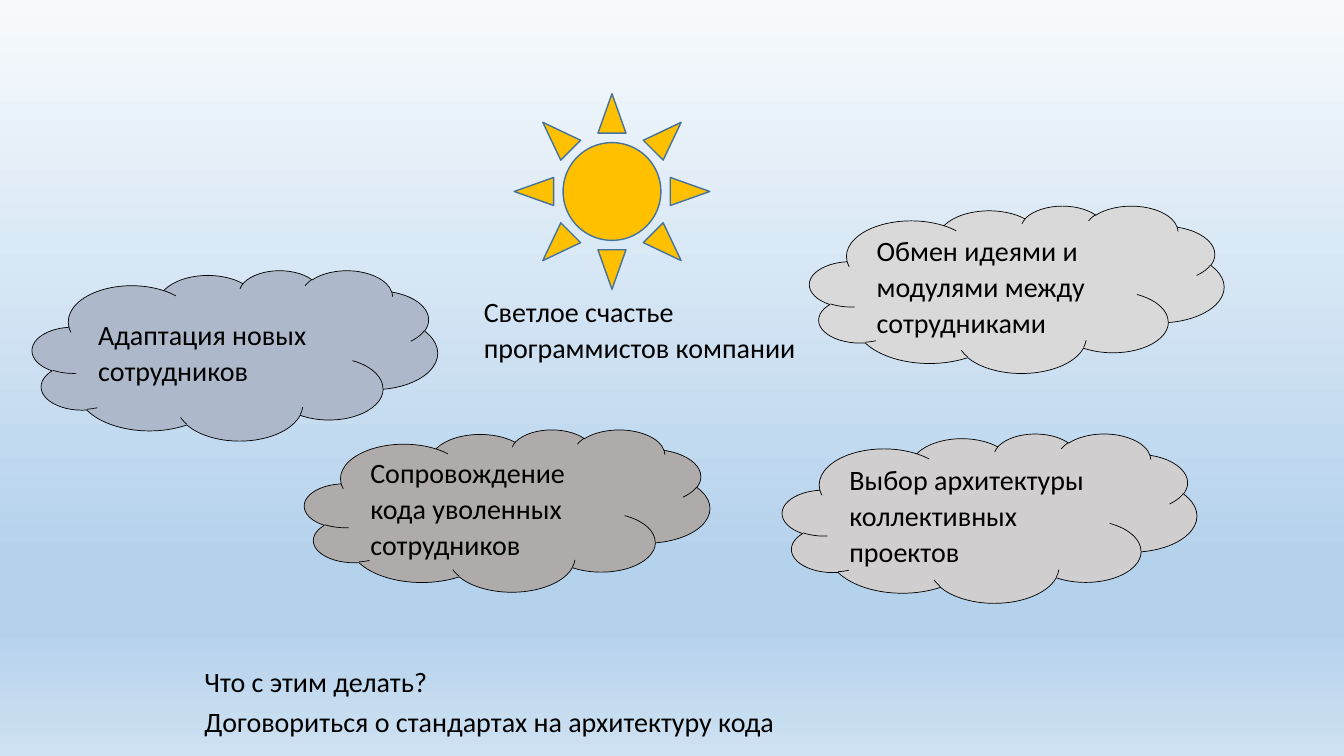
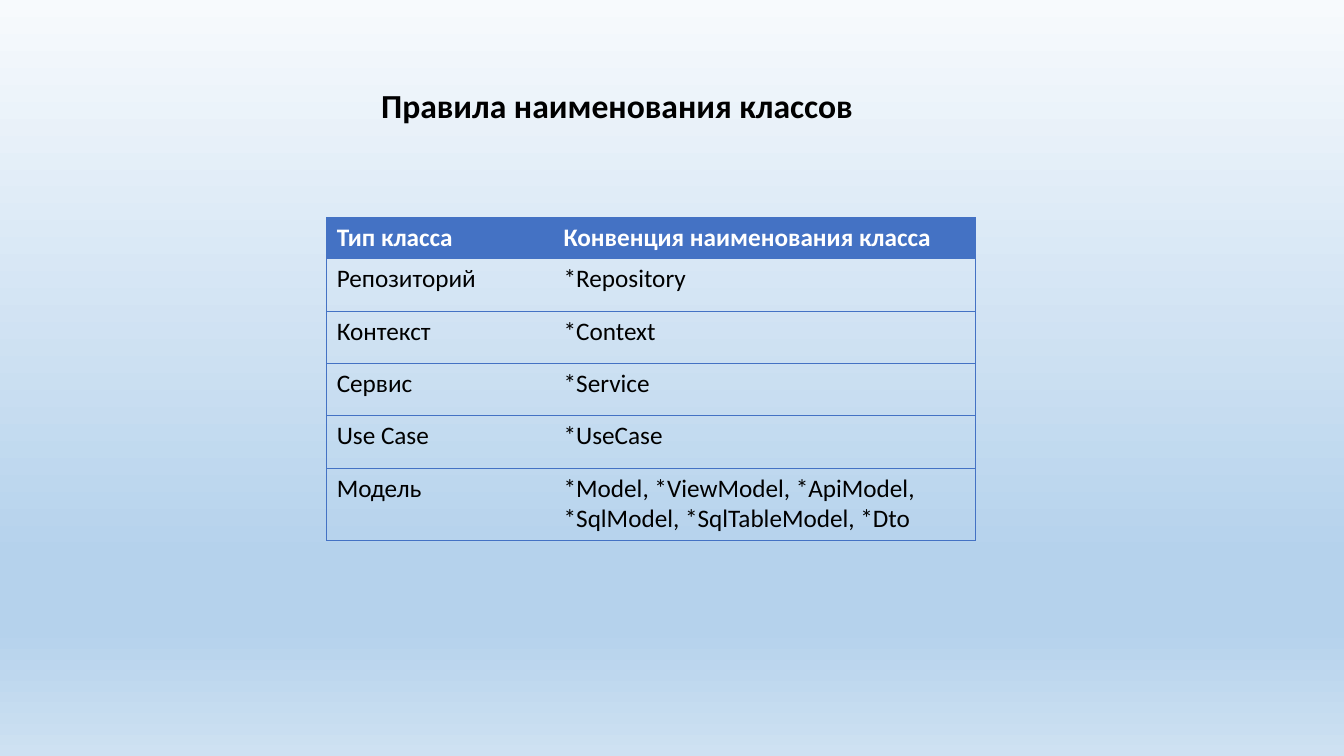
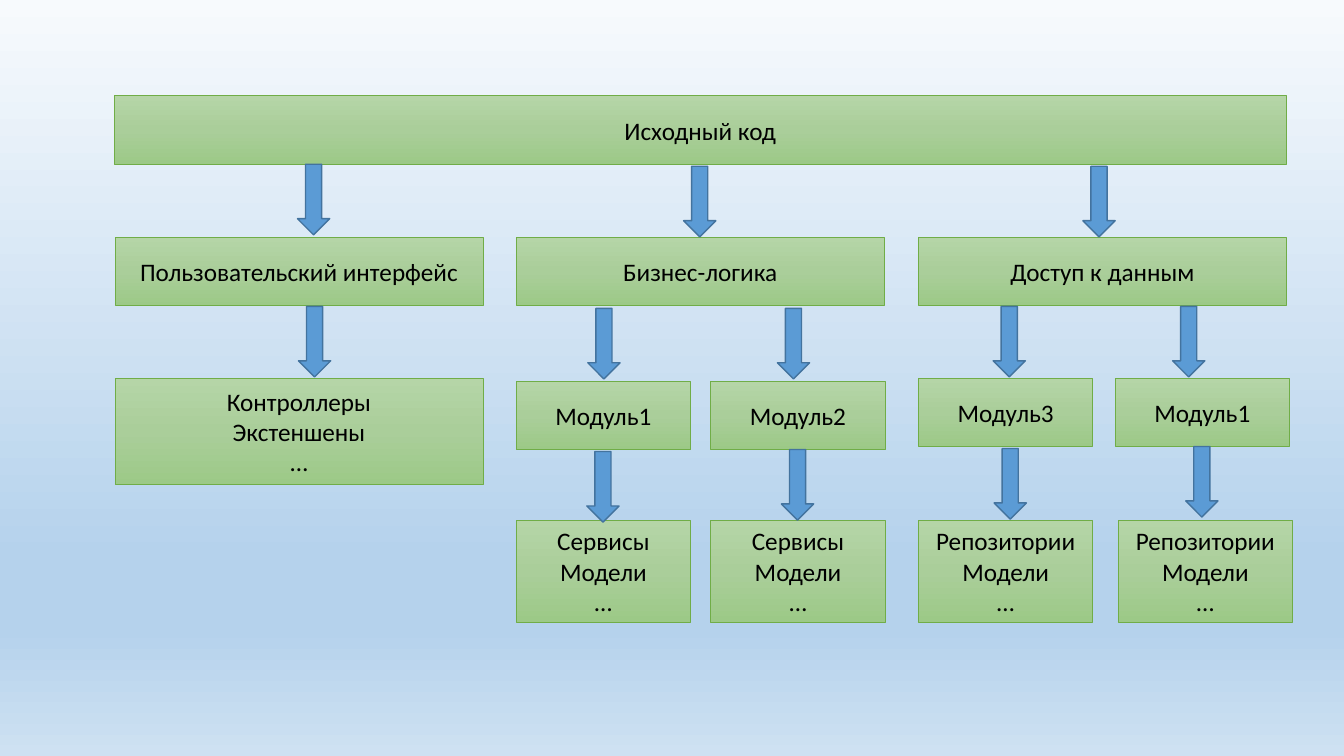
from dataclasses import dataclass
from itertools import product

from lxml.etree import SubElement
from pptx import Presentation
from pptx.dml.color import RGBColor
from pptx.dml.fill import FillFormat
from pptx.enum.shapes import MSO_SHAPE
from pptx.enum.text import MSO_ANCHOR, MSO_AUTO_SIZE, PP_ALIGN
from pptx.oxml.ns import qn
from pptx.oxml.xmlchemy import BaseOxmlElement
from pptx.shapes.autoshape import Shape
from pptx.slide import Slide
from pptx.table import _Cell as Cell
from pptx.text.text import TextFrame
from pptx.util import Emu, Pt

SCALE = 9144
FONT = "Calibri"
BLACK = RGBColor(0x00, 0x00, 0x00)
WHITE = RGBColor(0xFF, 0xFF, 0xFF)
BLUE = RGBColor(0x44, 0x72, 0xC4)
SKY = RGBColor(0x5B, 0x9B, 0xD5)
NAVY = RGBColor(0x43, 0x73, 0x9E)
GOLD = RGBColor(0xFF, 0xC0, 0x00)
LEAF = RGBColor(0x70, 0xAD, 0x47)
SILVER = RGBColor(0xD9, 0xD9, 0xD9)
STEEL = RGBColor(0xAD, 0xB9, 0xCA)
STONE = RGBColor(0xAF, 0xAB, 0xAB)
PEARL = RGBColor(0xD0, 0xCE, 0xCE)

Stops = tuple[tuple[int, RGBColor], ...]
AIR: Stops = (
    (0, RGBColor(0xF7, 0xFA, 0xFD)),
    (74, RGBColor(0xB5, 0xD2, 0xEC)),
    (83, RGBColor(0xB5, 0xD2, 0xEC)),
    (100, RGBColor(0xCE, 0xE1, 0xF2)),
)
GREEN: Stops = (
    (0, RGBColor(0xB5, 0xD5, 0xA7)),
    (50, RGBColor(0xAA, 0xCE, 0x9A)),
    (100, RGBColor(0x9C, 0xC9, 0x87)),
)


@dataclass(frozen=True)
class Area:
    left: int
    top: int
    width: int
    height: int

    def emu(self) -> tuple[Emu, Emu, Emu, Emu]:
        return px(self.left), px(self.top), px(self.width), px(self.height)


@dataclass(frozen=True)
class Cloud:
    area: Area
    fill: RGBColor
    text: str


@dataclass(frozen=True)
class Block:
    area: Area
    text: str


@dataclass(frozen=True)
class Style:
    size: int
    color: RGBColor = BLACK
    bold: bool = False
    align: PP_ALIGN = PP_ALIGN.LEFT
    line: float = 1.0
    after: int = 0


NOTE = Style(20, line=1.07, after=8)
TITLE = Style(24, bold=True, line=1.07, after=8)
LABEL = Style(18, align=PP_ALIGN.CENTER)
HEAD = Style(18, color=WHITE, bold=True)
ENTRY = Style(18)

CLOUDS = (
    Cloud(Area(803, 204, 411, 166), SILVER, "Обмен идеями и модулями между сотрудниками"),
    Cloud(Area(32, 268, 402, 169), STEEL, "Адаптация новых сотрудников"),
    Cloud(Area(302, 426, 402, 161), STONE, "Сопровождение кода уволенных сотрудников"),
    Cloud(Area(776, 430, 411, 168), PEARL, "Выбор архитектуры коллективных проектов"),
)
NOTES = (
    Block(Area(470, 285, 380, 40), "Светлое счастье\vпрограммистов компании"),
    Block(Area(193, 652, 933, 45), "Что с этим делать?"),
    Block(Area(193, 692, 933, 46), "Договориться о стандартах на архитектуру кода"),
)
RULES = (
    ("Тип класса", "Конвенция наименования класса"),
    ("Репозиторий", "*Repository"),
    ("Контекст", "*Context"),
    ("Сервис", "*Service"),
    ("Use Case", "*UseCase"),
    ("Модель", "*Model, *ViewModel, *ApiModel, *SqlModel, *SqlTableModel, *Dto"),
)
COLS = (225, 418)
ROWS = (40, 52, 52, 52, 52, 72)

LAYERS = ("Пользовательский интерфейс", "Бизнес-логика", "Доступ к данным")
MODULES = (
    (512, 378, "Модуль1"),
    (705, 378, "Модуль2"),
    (911, 375, "Модуль3"),
    (1106, 375, "Модуль1"),
)
PARTS = (
    (512, "Сервисы"),
    (705, "Сервисы"),
    (911, "Репозитории"),
    (1109, "Репозитории"),
)
BLOCKS = (
    Block(Area(113, 95, 1163, 68), "Исходный код"),
    *(Block(Area(left, 235, 365, 68), text) for left, text in zip((114, 512, 911), LAYERS)),
    Block(Area(114, 375, 365, 106), "Контроллеры\nЭкстеншены\n…"),
    *(Block(Area(left, top, 173, 68), text) for left, top, text in MODULES),
    *(Block(Area(left, 516, 173, 101), f"{text}\nМодели\n…") for left, text in PARTS),
)
ARROWS = (
    (295, 163), (678, 165), (1074, 165),
    (296, 304), (583, 306), (771, 306), (985, 304), (1163, 304),
    (582, 448), (775, 446), (986, 445), (1176, 443),
)


def px(count: int) -> Emu:
    return Emu(count * SCALE)


def blend(fill: FillFormat, node: BaseOxmlElement, stops: Stops) -> None:
    fill.gradient()
    fill.gradient_angle = 270
    group = next(node.iter(qn("a:gsLst")))
    for old in list(group):
        group.remove(old)
    for place, color in stops:
        stop = SubElement(group, qn("a:gs"), pos=str(place * 1000))
        SubElement(stop, qn("a:srgbClr"), val=str(color))


def write(frame: TextFrame, text: str, style: Style) -> None:
    frame.text = text
    frame.word_wrap = True
    for para in frame.paragraphs:
        para.alignment = style.align
        para.line_spacing = style.line
        para.space_after = Pt(style.after)
        for run in para.runs:
            run.font.name = FONT
            run.font.size = Pt(style.size)
            run.font.bold = style.bold
            run.font.color.rgb = style.color


def draw(slide: Slide, kind: MSO_SHAPE, area: Area, line: RGBColor, width: float) -> Shape:
    shape = slide.shapes.add_shape(kind, *area.emu())
    shape.shadow.inherit = False
    shape.line.color.rgb = line
    shape.line.width = Pt(width)
    return shape


def paint(shape: Shape, color: RGBColor) -> None:
    shape.fill.solid()
    shape.fill.fore_color.rgb = color


def label(shape: Shape, text: str, style: Style) -> None:
    write(shape.text_frame, text, style)
    shape.text_frame.vertical_anchor = MSO_ANCHOR.MIDDLE


def edge(cell: Cell, sides: str) -> None:
    props = cell._tc.get_or_add_tcPr()
    for side in "LRTB":
        line = SubElement(props, qn(f"a:ln{side}"), w=str(Pt(0.5)))
        if side in sides:
            fill = SubElement(line, qn("a:solidFill"))
            SubElement(fill, qn("a:srgbClr"), val=str(BLUE))
        else:
            SubElement(line, qn("a:noFill"))


def show_goals(slide: Slide) -> None:
    for cloud in CLOUDS:
        shape = draw(slide, MSO_SHAPE.CLOUD, cloud.area, BLACK, 0.5)
        paint(shape, cloud.fill)
        label(shape, cloud.text, NOTE)
    paint(draw(slide, MSO_SHAPE.SUN, Area(510, 93, 194, 194), NAVY, 1), GOLD)
    for note in NOTES:
        box = slide.shapes.add_textbox(*note.area.emu())
        write(box.text_frame, note.text, NOTE)


def show_rules(slide: Slide) -> None:
    title = slide.shapes.title
    title.left, title.top, title.width, title.height = Area(368, 76, 818, 53).emu()
    write(title.text_frame, "Правила наименования классов", TITLE)
    title.text_frame.auto_size = MSO_AUTO_SIZE.NONE
    title.text_frame.vertical_anchor = MSO_ANCHOR.TOP

    area = Area(324, 216, sum(COLS), sum(ROWS))
    table = slide.shapes.add_table(len(ROWS), len(COLS), *area.emu()).table
    table.first_row = False
    table.horz_banding = False
    for col, width in zip(table.columns, COLS):
        col.width = px(width)
    for row, height in zip(table.rows, ROWS):
        row.height = px(height)
    for row, col in product(range(len(ROWS)), range(len(COLS))):
        cell = table.cell(row, col)
        write(cell.text_frame, RULES[row][col], ENTRY if row else HEAD)
        edge(cell, "TBR" if col else "TBL")
        if row:
            cell.fill.background()
        else:
            cell.fill.solid()
            cell.fill.fore_color.rgb = BLUE


def show_layers(slide: Slide) -> None:
    for block in BLOCKS:
        shape = draw(slide, MSO_SHAPE.RECTANGLE, block.area, LEAF, 0.5)
        blend(shape.fill, shape.element, GREEN)
        label(shape, block.text, LABEL)
    for left, top in ARROWS:
        paint(draw(slide, MSO_SHAPE.DOWN_ARROW, Area(left, top, 32, 70), NAVY, 1), SKY)


def main() -> None:
    deck = Presentation()
    deck.slide_width = px(1333)
    deck.slide_height = px(750)
    master = deck.slide_master
    blend(master.background.fill, master.element, AIR)
    blank = deck.slide_layouts.get_by_name("Blank")
    titled = deck.slide_layouts.get_by_name("Title Only")
    show_goals(deck.slides.add_slide(blank))
    show_rules(deck.slides.add_slide(titled))
    show_layers(deck.slides.add_slide(blank))
    deck.save("out.pptx")


if __name__ == "__main__":
    main()
